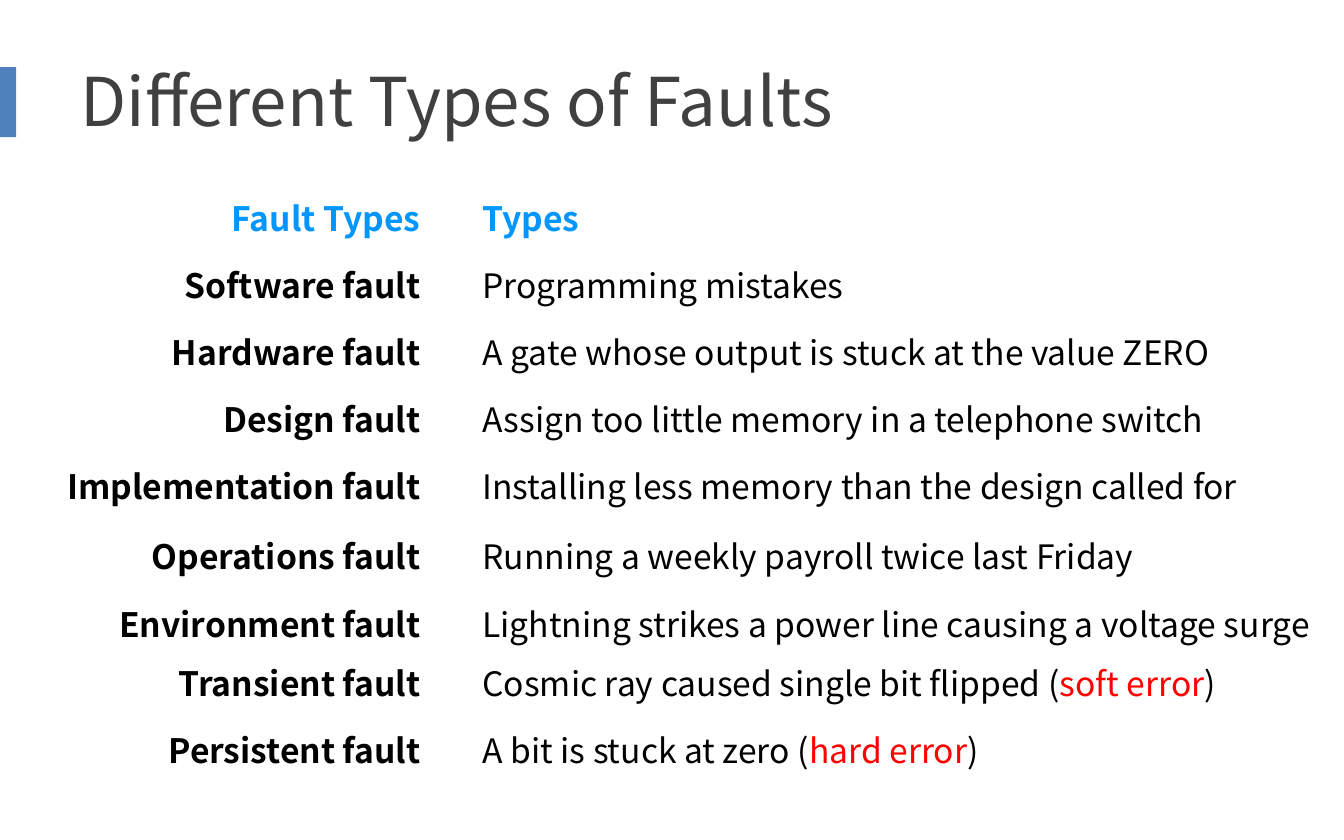
from pptx import Presentation
from pptx.dml.color import RGBColor
from pptx.enum.shapes import MSO_SHAPE
from pptx.enum.text import MSO_ANCHOR, PP_ALIGN
from pptx.util import Inches, Pt

FONT = "Noto Sans CJK SC"
BLACK, BLUE, RED = "000000", "0096FF", "FF0000"
TITLE = "Different Types of Faults"
HEADER = ("Fault Types", "Types")
FAULTS = [
    ("Software fault", ["Programming mistakes"]),
    ("Hardware fault", ["A gate whose output is stuck at the value ZERO"]),
    ("Design fault", ["Assign too little memory in a telephone switch"]),
    ("Implementation fault", ["Installing less memory than the design called for"]),
    ("Operations fault", ["Running a weekly payroll twice last Friday"]),
    ("Environment fault", ["Lightning strikes a power line causing a voltage surge"]),
    ("Transient fault", ["Cosmic ray caused single bit flipped (", "soft error", ")"]),
    ("Persistent fault", ["A bit is stuck at zero (", "hard error", ")"]),
]
COLUMN_WIDTHS = [3.03, 0.26, 6.56]
ROW_HEIGHTS = [0.5, 0.5, 0.5, 0.5, 0.52, 0.5, 0.44, 0.5, 0.5]


def color(value):
    return RGBColor.from_string(value)


def style(font, size, value, bold=False):
    font.name = FONT
    font.size = Pt(size)
    font.bold = bold
    font.color.rgb = color(value)


def write(cell, parts, value=BLACK, bold=False, align=PP_ALIGN.LEFT):
    paragraph = cell.text_frame.paragraphs[0]
    paragraph.alignment = align
    style(paragraph.font, 18, value, bold)
    for index, text in enumerate(parts):
        run = paragraph.add_run()
        run.text = text
        if index == 1:
            run.font.color.rgb = color(RED)


presentation = Presentation()
presentation.slide_width = Inches(10)
presentation.slide_height = Inches(6.25)
slide = presentation.slides.add_slide(presentation.slide_layouts[6])

accent_bar = slide.shapes.add_shape(
    MSO_SHAPE.RECTANGLE, Inches(0), Inches(0.5), Inches(0.12), Inches(0.52))
accent_bar.shadow.inherit = False
accent_bar.fill.solid()
accent_bar.fill.fore_color.rgb = color("4F81BD")
accent_bar.line.fill.background()

title = slide.shapes.add_textbox(Inches(0.5), Inches(0.25), Inches(9), Inches(0.98))
title.text_frame.word_wrap = True
title.text_frame.vertical_anchor = MSO_ANCHOR.MIDDLE
title.text_frame.text = TITLE
style(title.text_frame.paragraphs[0].font, 36, "404040")

table = slide.shapes.add_table(
    len(ROW_HEIGHTS), len(COLUMN_WIDTHS), Inches(0.2), Inches(1.38),
    Inches(sum(COLUMN_WIDTHS)), Inches(sum(ROW_HEIGHTS))).table
table.first_row = False
table.horz_banding = False
for column, width in zip(table.columns, COLUMN_WIDTHS):
    column.width = Inches(width)
for row, height in zip(table.rows, ROW_HEIGHTS):
    row.height = Inches(height)
for cell in table.iter_cells():
    cell.fill.solid()
    cell.fill.fore_color.rgb = color("FFFFFF")

write(table.cell(0, 0), [HEADER[0]], BLUE, True, PP_ALIGN.RIGHT)
write(table.cell(0, 2), [HEADER[1]], BLUE, True)
for number, (fault, example) in enumerate(FAULTS, start=1):
    write(table.cell(number, 0), [fault], bold=True, align=PP_ALIGN.RIGHT)
    write(table.cell(number, 2), example)
for number in range(len(ROW_HEIGHTS)):
    style(table.cell(number, 1).text_frame.paragraphs[0].font, 18, BLACK)

presentation.save("out.pptx")
